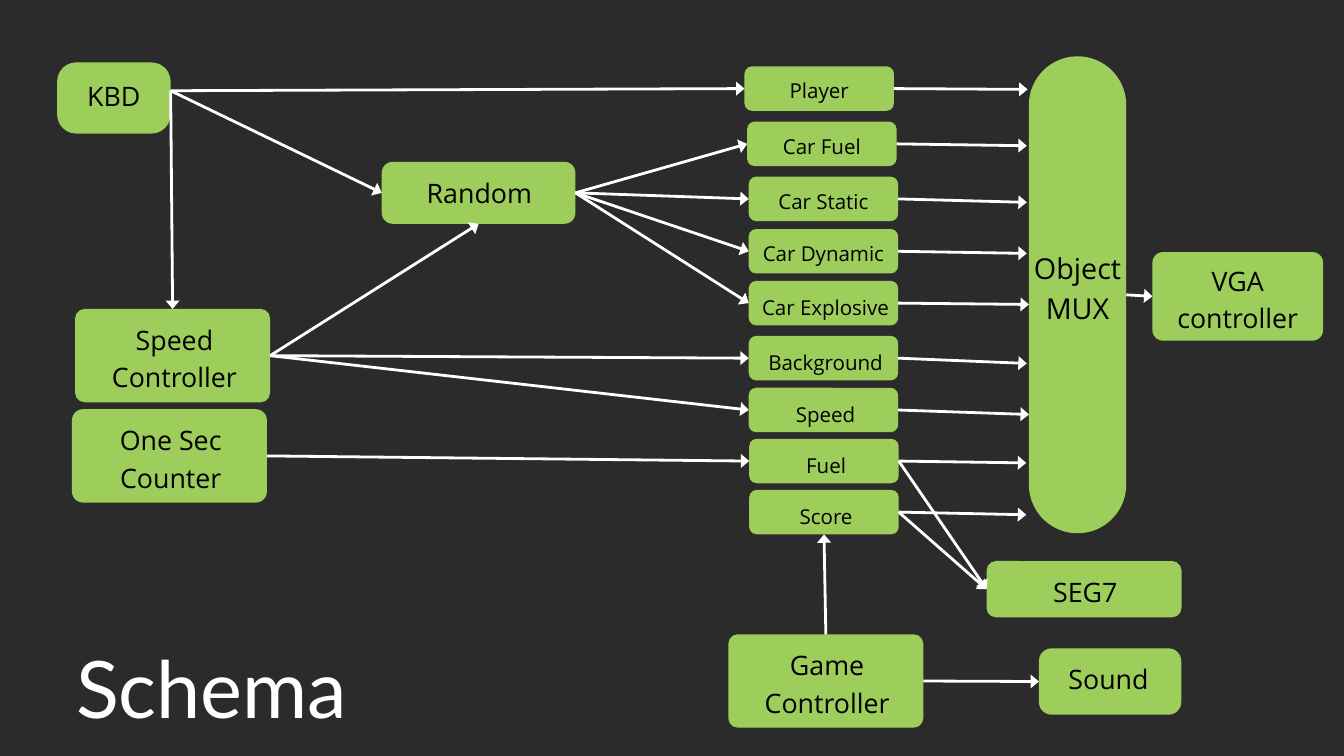
from pptx import Presentation
from pptx import util as u
from pptx.dml.color import RGBColor
from pptx.enum import shapes, text
from pptx.oxml.ns import qn
from lxml import etree

THEME = {
    "background": RGBColor(0x2B, 0x2B, 0x2B),
    "block": RGBColor(0x9D, 0xCD, 0x5A),
    "ink": RGBColor(0, 0, 0),
    "light": RGBColor(0xFF, 0xFF, 0xFF),
    "title": ("Lato", 84.9, 118.8),
    "large": ("Open Sans", 30.8, 43.1),
    "body": ("Open Sans", 28.7, 40.2),
    "small": ("Open Sans", 22, 30.8),
    "arrow": 3,
}
TOP, LEFT, BOTTOM, RIGHT = range(4)

TITLE = ("Schema", (2.16, 23.68, 11.68, 4.01))

# name: label, (left, top, width, height), corner radius, text shift, type style
BLOCKS = {
    "KBD": ("KBD", (2.16, 2.36, 4.29, 2.69), 0.72, (0, -0.18), "body"),
    "MUX": ("Object\nMUX", (38.89, 2.13, 3.68, 18.03), 1.84, (0, -0.36), "large"),
    "VGA": ("VGA controller", (43.56, 9.53, 6.45, 3.35), 0.4, (0, 0), "body"),
    "Counter": ("One Sec Counter", (2.72, 15.47, 7.37, 3.53), 0.42, (0.05, 0), "body"),
    "Sound": ("Sound", (39.27, 24.51, 5.38, 2.51), 0.48, (-0.06, -0.2), "body"),
    "Random": ("Random", (14.43, 6.12, 7.32, 2.34), 0.41, (0.03, -0.11), "body"),
    "Game": ("Game Controller", (27.53, 23.98, 7.37, 3.53), 0.36, (0.05, 0), "body"),
    "SEG7": ("SEG7", (37.29, 21.21, 7.37, 2.13), 0.36, (0.05, 0), "body"),
    "Controller": ("Speed Controller", (2.84, 11.68, 7.37, 3.53), 0.36, (0.07, 0), "body"),
}

# label, left, top, text shift, arrow end at the multiplexer
MODULE_SIZE = (5.65, 1.68)
MODULES = [
    ("Player", 28.14, 2.51, 0, (38.84, 3.38)),
    ("Car Fuel", 28.24, 4.6, 0, (38.81, 5.51)),
    ("Car Static", 28.3, 6.68, 0, (38.81, 7.65)),
    ("Car Dynamic", 28.3, 8.66, 0, (38.81, 9.58)),
    ("Car Explosive", 28.3, 10.62, 0.08, (38.89, 11.51)),
    ("Background", 28.3, 12.7, 0.08, (38.81, 13.74)),
    ("Speed", 28.3, 14.66, 0.08, (38.89, 15.67)),
    ("Fuel", 28.32, 16.59, 0.08, (38.79, 17.5)),
    ("Score", 28.32, 18.52, 0.08, (38.79, 19.46)),
]

KBD_PORT = (6.45, 3.43)
ROUTES = [
    (("MUX", RIGHT), ("VGA", LEFT)),
    (("Game", RIGHT), ("Sound", LEFT)),
    (("Game", TOP), ("Score", BOTTOM)),
    (("Score", RIGHT), ("SEG7", LEFT)),
    (("Fuel", RIGHT), ("SEG7", LEFT)),
    (KBD_PORT, ("Controller", TOP)),
    (KBD_PORT, ("Player", LEFT)),
    (KBD_PORT, ("Random", LEFT)),
    (("Controller", RIGHT), ("Random", BOTTOM)),
    (("Controller", RIGHT), ("Background", LEFT)),
    (("Controller", RIGHT), ("Speed", LEFT)),
    (("Counter", RIGHT), ("Fuel", LEFT)),
]
ROUTES += [(("Random", RIGHT), (module[0], LEFT)) for module in MODULES[1:5]]
ROUTES += [((module[0], RIGHT), module[4]) for module in MODULES]


def lengths(values):
    return [u.Cm(value) for value in values]


def write(box, label, style, color, shift=(0, 0)):
    frame = box.text_frame
    frame.text = label
    frame.auto_size = text.MSO_AUTO_SIZE.NONE
    frame.word_wrap = "\n" not in label
    dx, dy = shift
    frame.margin_left, frame.margin_right = lengths((max(2 * dx, 0), max(-2 * dx, 0)))
    frame.margin_top, frame.margin_bottom = lengths((max(2 * dy, 0), max(-2 * dy, 0)))
    frame.vertical_anchor = text.MSO_ANCHOR.MIDDLE
    name, size, spacing = THEME[style]
    for para in frame.paragraphs:
        para.alignment = text.PP_ALIGN.CENTER
        para.line_spacing = u.Pt(spacing)
        para.font.name = name
        para.font.size = u.Pt(size)
        para.font.color.rgb = color


def add_block(page, label, place, radius, shift, style):
    box = page.shapes.add_shape(shapes.MSO_SHAPE.ROUNDED_RECTANGLE, *lengths(place))
    box.adjustments[0] = radius / min(place[2:])
    box.shadow.inherit = False
    box.fill.solid()
    box.fill.fore_color.rgb = THEME["block"]
    box.line.fill.background()
    write(box, label, style, THEME["ink"], shift)
    return box


def add_arrow(page, boxes, start, end):
    points = [(0, 0) if spot[0] in boxes else spot for spot in (start, end)]
    arrow = page.shapes.add_connector(
        shapes.MSO_CONNECTOR.STRAIGHT, *lengths(points[0] + points[1]))
    for spot, connect in ((start, arrow.begin_connect), (end, arrow.end_connect)):
        if spot[0] in boxes:
            connect(boxes[spot[0]], spot[1])
    arrow.line.color.rgb = THEME["light"]
    arrow.line.width = u.Pt(THEME["arrow"])
    etree.SubElement(arrow.line._get_or_add_ln(), qn("a:tailEnd"),
                     type="triangle", w="lg", len="med")
    etree.SubElement(arrow._element.spPr, qn("a:effectLst"))


def main():
    deck = Presentation()
    deck.slide_width, deck.slide_height = lengths((50.8, 28.58))
    page = deck.slides.add_slide(deck.slide_layouts[5])
    page.background.fill.solid()
    page.background.fill.fore_color.rgb = THEME["background"]

    label, place = TITLE
    title = page.shapes.title
    title.left, title.top, title.width, title.height = lengths(place)
    write(title, label, "title", THEME["light"])

    boxes = {name: add_block(page, *block) for name, block in BLOCKS.items()}
    for label, left, top, shift, _ in MODULES:
        boxes[label] = add_block(
            page, label, (left, top, *MODULE_SIZE), 0.28, (shift, shift), "small")
    for start, end in ROUTES:
        add_arrow(page, boxes, start, end)
    deck.save("out.pptx")


if __name__ == "__main__":
    main()
